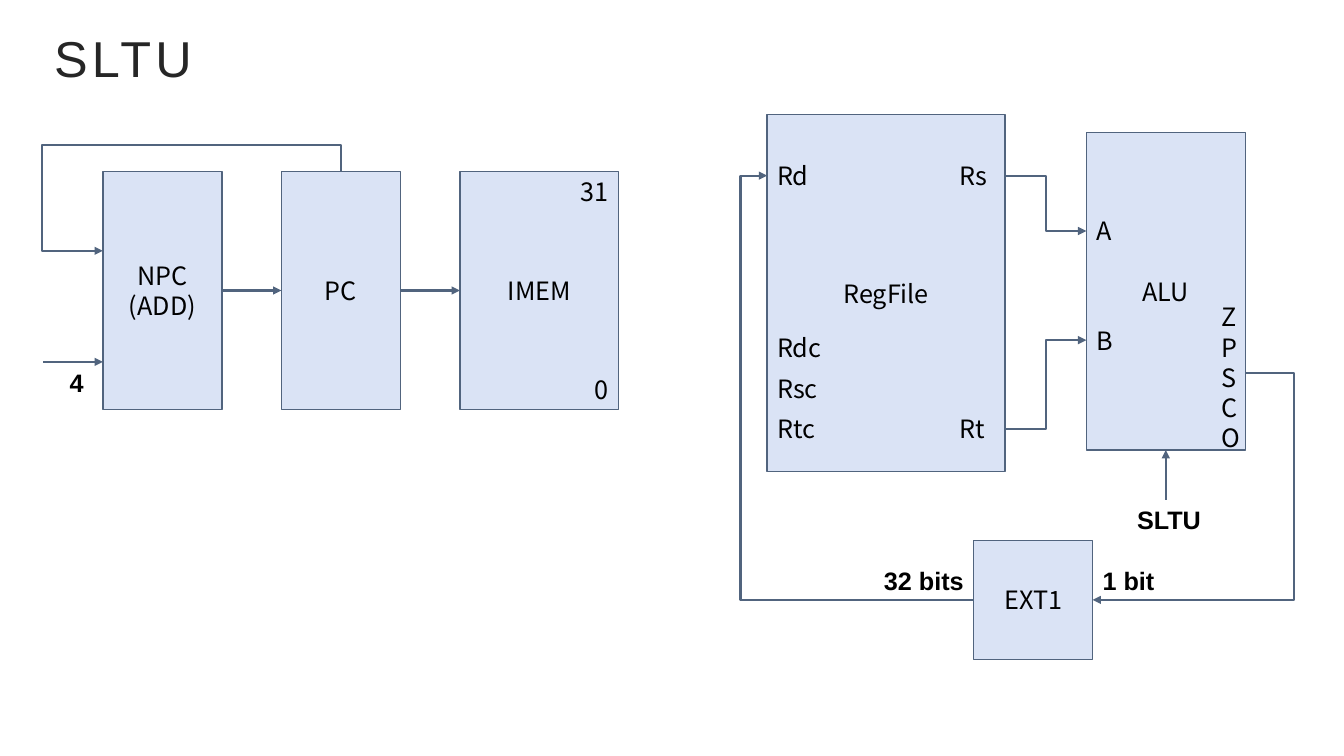
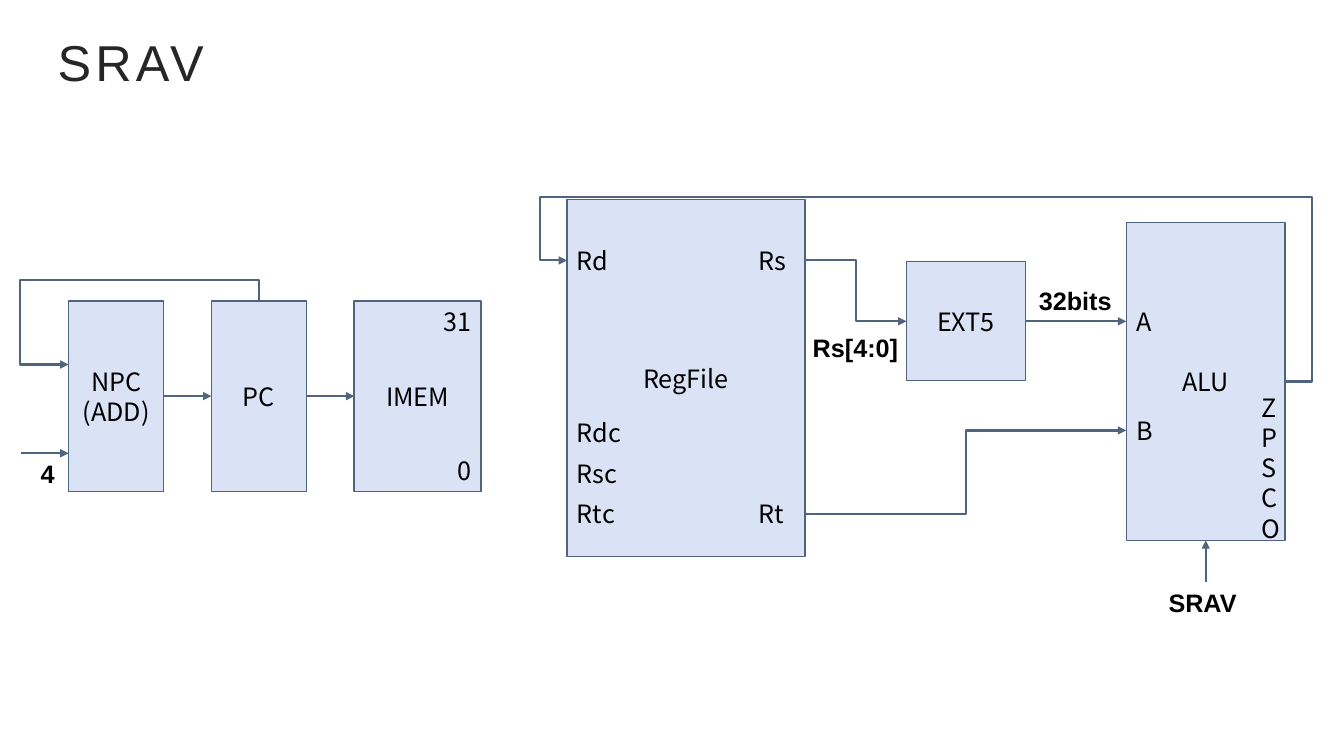
from dataclasses import dataclass
from typing import Any

from lxml import etree
from pptx import Presentation
from pptx.dml.color import RGBColor
from pptx.enum import shapes, text
from pptx.oxml import ns
from pptx.util import Pt

Point = tuple[float, float]
LEFT, CENTER, RIGHT = text.PP_ALIGN.LEFT, text.PP_ALIGN.CENTER, text.PP_ALIGN.RIGHT
SIDE_LEFT, SIDE_BOTTOM, SIDE_RIGHT = 1, 2, 3


# Theme
@dataclass(frozen=True)
class Theme:
    block_fill: RGBColor = RGBColor(0xDA, 0xE3, 0xF5)
    stroke: RGBColor = RGBColor(0x51, 0x64, 0x7E)
    ink: RGBColor = RGBColor(0, 0, 0)
    title_ink: RGBColor = RGBColor(0x26, 0x26, 0x26)
    block_line: float = 1
    wire_line: float = 1.5
    title_spacing: int = 300
    label_height: float = 29


THEME = Theme()
TITLE_FONT = {"name": "Arial", "size": Pt(36), "bold": False}
PORT_FONT = {"name": "Noto Sans CJK JP", "size": Pt(18), "bold": False}
SIGNAL_FONT = {"name": "Arial", "size": Pt(18), "bold": True}


@dataclass(frozen=True)
class Block:
    name: str
    left: float
    top: float
    width: float
    height: float

    @property
    def right(self) -> float:
        return self.left + self.width

    @property
    def bottom(self) -> float:
        return self.top + self.height

    @property
    def center(self) -> Point:
        return self.left + self.width / 2, self.top + self.height / 2


@dataclass(frozen=True)
class Label:
    words: str
    left: float
    top: float
    width: float
    align: Any = LEFT
    font: Any = None
    height: float = THEME.label_height


# Drawing helpers
def apply(target: Any, formats: dict[str, Any]) -> None:
    for name, value in formats.items():
        setattr(target, name, value)


def write(frame: Any, words: str, font: dict[str, Any], align: Any, color: RGBColor) -> None:
    frame.text = words
    for paragraph in frame.paragraphs:
        paragraph.alignment = align
        for run in paragraph.runs:
            apply(run.font, font)
            run.font.color.rgb = color


def draw_title(slide: Any, words: str, left: float, top: float) -> None:
    title = slide.shapes.title
    apply(title, {"left": Pt(left), "top": Pt(top), "width": Pt(864), "height": Pt(55.5)})
    title.text_frame.vertical_anchor = text.MSO_ANCHOR.MIDDLE
    write(title.text_frame, words, TITLE_FONT, LEFT, THEME.title_ink)
    run = title.text_frame.paragraphs[0].runs[0]
    run.font._element.set("spc", str(THEME.title_spacing))


def draw_block(slide: Any, block: Block) -> Any:
    shape = slide.shapes.add_shape(
        shapes.MSO_SHAPE.RECTANGLE,
        Pt(block.left), Pt(block.top), Pt(block.width), Pt(block.height))
    shape.shadow.inherit = False
    shape.fill.solid()
    shape.fill.fore_color.rgb = THEME.block_fill
    shape.line.color.rgb = THEME.stroke
    shape.line.width = Pt(THEME.block_line)
    shape.text_frame.vertical_anchor = text.MSO_ANCHOR.MIDDLE
    write(shape.text_frame, block.name, PORT_FONT, CENTER, THEME.ink)
    return shape


def draw_label(slide: Any, label: Label) -> None:
    box = slide.shapes.add_textbox(
        Pt(label.left), Pt(label.top), Pt(label.width), Pt(label.height))
    box.text_frame.word_wrap = True
    write(box.text_frame, label.words, label.font or PORT_FONT, label.align, THEME.ink)


def draw_wire(slide: Any, *points: Point) -> Any:
    """Two points make a straight wire, four an elbow, more a routed loop."""
    route = [(Pt(x), Pt(y)) for x, y in points]
    start, end = route[0], route[-1]
    if len(route) > 4:
        builder = slide.shapes.build_freeform(*start, scale=1.0)
        builder.add_line_segments(route[1:], close=False)
        wire = builder.convert_to_shape()
        wire.fill.background()
    else:
        kind = shapes.MSO_CONNECTOR.ELBOW if len(route) == 4 else shapes.MSO_CONNECTOR.STRAIGHT
        wire = slide.shapes.add_connector(kind, *start, *end)
    properties = wire._element.spPr
    if len(route) == 4:
        bend = round(100000 * (route[1][0] - start[0]) / (end[0] - start[0]))
        guides = properties.find(ns.qn("a:prstGeom")).get_or_add_avLst()
        etree.SubElement(guides, ns.qn("a:gd"), name="adj1", fmla=f"val {bend}")
    wire.line.color.rgb = THEME.stroke
    wire.line.width = Pt(THEME.wire_line)
    etree.SubElement(properties.find(ns.qn("a:ln")), ns.qn("a:tailEnd"), type="triangle")
    etree.SubElement(properties, ns.qn("a:effectLst"))
    return wire


def draw_elbow(slide: Any, start: Point, end: Point) -> None:
    middle = (start[0] + end[0]) / 2
    draw_wire(slide, start, (middle, start[1]), (middle, end[1]), end)


# Processor parts
def draw_fetch_unit(slide: Any, left: float, top: float, unit: float) -> None:
    """NPC, PC and IMEM, all measured by the width of the NPC block."""
    widths = {"NPC\n(ADD)": unit, "PC": unit, "IMEM": unit * 4 / 3}
    blocks = [Block(name, left + index * 1.5 * unit, top, width, 2 * unit)
              for index, (name, width) in enumerate(widths.items())]
    drawn = [draw_block(slide, block) for block in blocks]
    for index in range(len(blocks) - 1):
        source, target = blocks[index], blocks[index + 1]
        y = source.center[1]
        wire = draw_wire(slide, (source.right, y), (target.left, y))
        wire.begin_connect(drawn[index], SIDE_RIGHT)
        wire.end_connect(drawn[index + 1], SIDE_LEFT)

    _, counter, memory = blocks
    label_width = 0.44 * unit
    step_y = top + 1.6 * unit
    draw_label(slide, Label("31", memory.right - 48, top, 48, RIGHT))
    draw_label(slide, Label("0", memory.right - label_width,
                            memory.bottom - THEME.label_height, label_width, RIGHT))
    draw_label(slide, Label("4", left - label_width, step_y, label_width, CENTER, SIGNAL_FONT))
    draw_wire(slide, (left - unit / 2, step_y), (left, step_y))

    loop_x, loop_y = left - 0.515 * unit, top - 0.225 * unit
    entry_y = top + 2 * unit / 3
    draw_wire(slide, (counter.center[0], top), (counter.center[0], loop_y),
              (loop_x, loop_y), (loop_x, entry_y), (left, entry_y))


@dataclass(frozen=True)
class Registers:
    block: Block
    rd: Point
    rs: Point
    rt: Point


def draw_registers(slide: Any, left: float, top: float) -> Registers:
    block = Block("RegFile", left, top, 170, 255)
    draw_block(slide, block)
    for name, offset in {"Rd": 29, "Rdc": 152, "Rsc": 181, "Rtc": 210}.items():
        draw_label(slide, Label(name, left, top + offset, 54))
    for name, offset in {"Rs": 29, "Rt": 210}.items():
        draw_label(slide, Label(name, block.right - 40, top + offset, 40))
    return Registers(block, (left, top + 43.5), (block.right, top + 43.5),
                     (block.right, top + 224.5))


@dataclass(frozen=True)
class Alu:
    block: Block
    a: Point
    b: Point


def draw_alu(slide: Any, left: float, top: float, operation: str,
             label_left: float, label_top: float) -> Alu:
    block = Block("ALU", left, top, 113.5, 227)
    shape = draw_block(slide, block)
    ports = {"A": (left, top + 70.5), "B": (left, top + 148.5)}
    for name, (x, y) in ports.items():
        draw_label(slide, Label(name, x, y - THEME.label_height / 2, 40))
    draw_label(slide, Label("ZPSCO", block.right - 24.3, top + 117.5, 24.3, CENTER, height=109.5))
    draw_label(slide, Label(operation, label_left, label_top, 109, CENTER, SIGNAL_FONT))
    wire = draw_wire(slide, (block.center[0], label_top), (block.center[0], block.bottom))
    wire.end_connect(shape, SIDE_BOTTOM)
    return Alu(block, ports["A"], ports["B"])


# Slides
def draw_sltu(slide: Any) -> None:
    draw_title(slide, "SLTU", 31.5, 13)
    draw_fetch_unit(slide, 73.5, 122.5, 85)
    registers = draw_registers(slide, 548, 82)
    alu = draw_alu(slide, 776, 94.5, "SLTU", 780.5, 357)
    extender = Block("EXT1", 695.5, 386, 85, 85)
    draw_block(slide, extender)
    draw_elbow(slide, registers.rs, alu.a)
    draw_elbow(slide, registers.rt, alu.b)

    flag_y, bus_y = alu.block.top + 172, extender.center[1]
    outer_x, return_x = 924.5, registers.block.left - 19
    draw_wire(slide, (alu.block.right, flag_y), (outer_x, flag_y),
              (outer_x, bus_y), (extender.right, bus_y))
    draw_wire(slide, (extender.left, bus_y), (return_x, bus_y),
              (return_x, registers.rd[1]), registers.rd)
    draw_label(slide, Label("1 bit", extender.right, 400, 68, LEFT, SIGNAL_FONT))
    draw_label(slide, Label("32 bits", extender.left - 110, 400, 110, RIGHT, SIGNAL_FONT))


def draw_srav(slide: Any) -> None:
    draw_title(slide, "SRAV", 34, 16)
    draw_fetch_unit(slide, 49, 215, 68)
    registers = draw_registers(slide, 405, 142.5)
    alu = draw_alu(slide, 804.5, 159, "SRAV", 804.5, 416)
    extender = Block("EXT5", 647.5, 187, 85, 85)
    extender_shape = draw_block(slide, extender)
    draw_elbow(slide, registers.rs, (extender.left, extender.center[1]))
    wire = draw_wire(slide, (extender.right, alu.a[1]), alu.a)
    wire.begin_connect(extender_shape, SIDE_RIGHT)
    draw_elbow(slide, registers.rt, alu.b)

    result_y, loop_y = alu.block.center[1], registers.block.top - 2
    outer_x, return_x = alu.block.right + 19, registers.block.left - 19
    draw_wire(slide, (alu.block.right, result_y), (outer_x, result_y), (outer_x, loop_y),
              (return_x, loop_y), (return_x, registers.rd[1]), registers.rd)
    draw_label(slide, Label("Rs[4:0]", 556.5, 234, 109, CENTER, SIGNAL_FONT))
    draw_label(slide, Label("32bits", 713.5, 200, 109, CENTER, SIGNAL_FONT))


def main() -> None:
    presentation = Presentation()
    apply(presentation, {"slide_width": Pt(960), "slide_height": Pt(540)})
    title_only = presentation.slide_layouts[5]
    for draw in (draw_sltu, draw_srav):
        draw(presentation.slides.add_slide(title_only))
    presentation.save("out.pptx")


if __name__ == "__main__":
    main()
